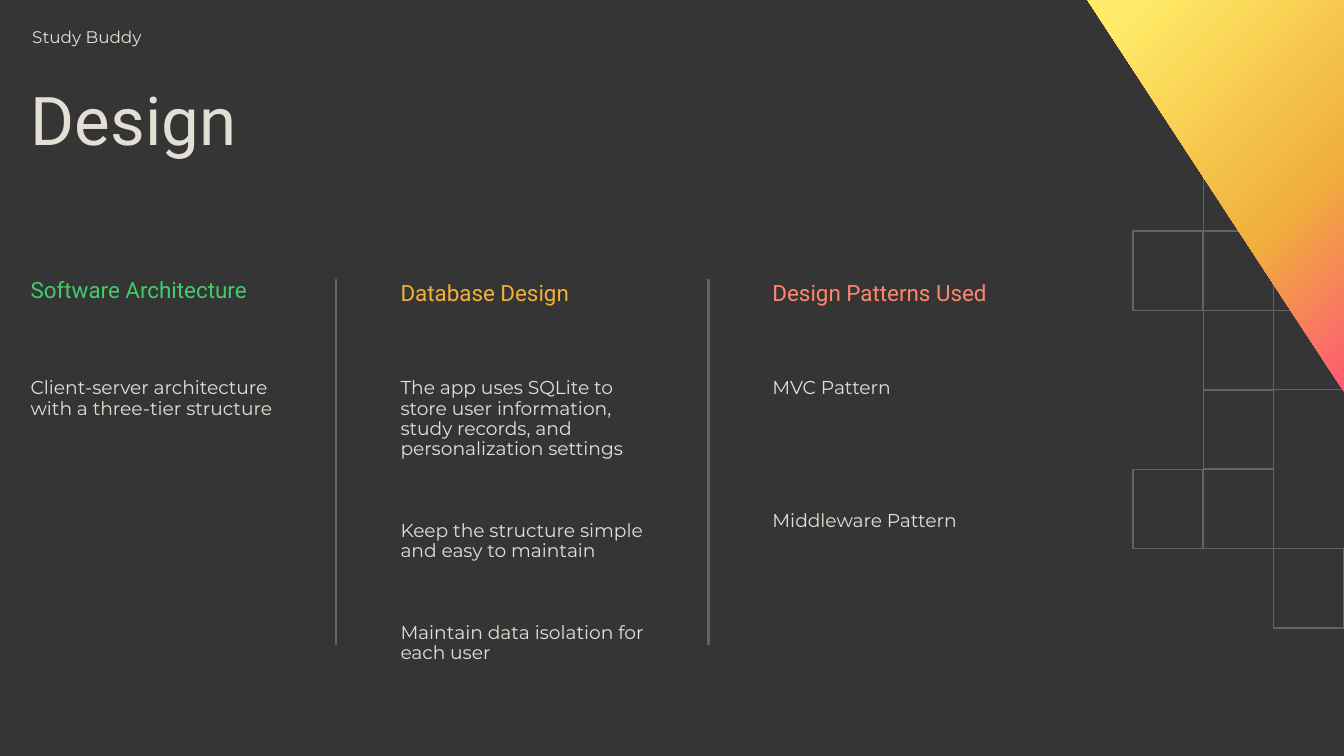
from lxml import etree
from pptx import Presentation
from pptx.dml.color import RGBColor
from pptx.enum import shapes, text
from pptx.oxml import parse_xml
from pptx.oxml.ns import nsdecls, qn
from pptx.util import Cm, Pt

DARK = RGBColor(0x35, 0x35, 0x35)
CREAM = RGBColor(0xE3, 0xDF, 0xD6)
TAUPE = RGBColor(0x69, 0x61, 0x5E)
GREEN = RGBColor(0x41, 0xCC, 0x6B)
AMBER = RGBColor(0xF0, 0xB0, 0x3B)
CORAL = RGBColor(0xFF, 0x86, 0x6D)
PINK = RGBColor(0xFF, 0x57, 0x77)
YELLOW = RGBColor(0xFF, 0xEB, 0x67)

HEAD = dict(name="Roboto", size=Pt(12))
BODY = dict(name="Montserrat", size=Pt(10), color=CREAM)
INSET = 0.25


def add_text(s, box, paras, fmt, insets=(INSET,) * 4, spacing=0.9, gap=0):
    """Insets run left, top, right, bottom in cm; gap is points between paragraphs."""
    tf = s.shapes.add_textbox(*map(Cm, box)).text_frame
    frame = dict(zip(("margin_left", "margin_top", "margin_right", "margin_bottom"),
                     map(Cm, insets)),
                 word_wrap=True, auto_size=text.MSO_AUTO_SIZE.NONE,
                 vertical_anchor=text.MSO_ANCHOR.TOP)
    for key, value in frame.items():
        setattr(tf, key, value)
    for i, words in enumerate(paras):
        p = tf.add_paragraph() if i else tf.paragraphs[0]
        p.line_spacing = spacing
        p.space_before = Pt(gap if i else 0)
        r = p.add_run()
        r.text = words
        for key, value in fmt.items():
            if key == "color":
                r.font.color.rgb = value
            else:
                setattr(r.font, key, value)


def add_cell_grid(s, box):
    """Outlined cells on a grid of 3 columns and 6 rows, some left empty."""
    left, top, width, height = box
    w, h = width / 3, height / 6
    rows = [(1, 2), (0, 1, 2), (1, 2), (1,), (0, 1), (2,)]
    for j, cols in enumerate(rows):
        for i in cols:
            sp = s.shapes.add_shape(shapes.MSO_SHAPE.RECTANGLE, Cm(left + i * w),
                                    Cm(top + j * h), Cm(w), Cm(h))
            sp.shadow.inherit = False
            sp.fill.background()
            sp.line.color.rgb = TAUPE
            sp.line.width = Pt(0.75)


def add_corner(s, box):
    """Right-angled triangle filling the top right corner, with a gradient."""
    left, top, width, height = box
    right = left + width
    fb = s.shapes.build_freeform(Cm(left), Cm(top))
    fb.add_line_segments([(Cm(right), Cm(top)), (Cm(right), Cm(top + height))], close=True)
    sp = fb.convert_to_shape()
    sp.shadow.inherit = False
    sp.line.fill.background()
    stops = "".join(f'<a:gs pos="{pos * 1000}"><a:srgbClr val="{color}"/></a:gs>'
                    for pos, color in [(0, PINK), (37, AMBER), (92, YELLOW), (100, YELLOW)])
    grad = parse_xml(f'<a:gradFill {nsdecls("a")} rotWithShape="1"><a:gsLst>{stops}</a:gsLst>'
                     f'<a:lin ang="{225 * 60000}" scaled="0"/></a:gradFill>')
    sp._element.spPr.find(qn("a:custGeom")).addnext(grad)


def add_header(s, box):
    left, top, width, height = box
    add_text(s, (left - 0.23, top, 4.39, 0.53), ["Study Buddy"],
             dict(BODY, size=Pt(9)), (0.51, INSET, INSET, INSET), spacing=1)
    add_text(s, (left, top + 1.15, width, height - 1.15), ["Design"],
             dict(HEAD, size=Pt(36), color=CREAM))


def add_column(s, box, heading, color, blocks, spacing=1):
    """A heading over equal text blocks; each block is a list of paragraphs."""
    left, top, width, height = box
    add_text(s, (left, top, width, 1.45), [heading], dict(HEAD, color=color),
             (INSET, 0, INSET, INSET), spacing)
    body_top = top + 1.63
    step = 2.51
    for i, paras in enumerate(blocks):
        y = body_top + i * step
        h = step if len(blocks) > 1 else top + height - body_top
        add_text(s, (left, y, width, h), paras, BODY, (INSET, INSET, 0, INSET), gap=33)


def add_divider(s, box):
    left, top, _, height = box
    ln = s.shapes.add_connector(shapes.MSO_CONNECTOR.STRAIGHT,
                                Cm(left), Cm(top), Cm(left), Cm(top + height))
    ln.line.color.rgb = TAUPE
    ln.line.width = Pt(1.5)
    etree.SubElement(ln._element.spPr, qn("a:effectLst"))


def main():
    prs = Presentation()
    prs.slide_width, prs.slide_height = Cm(25.4), Cm(14.29)
    s = prs.slides.add_slide(prs.slide_layouts[6])
    s.background.fill.solid()
    s.background.fill.fore_color.rgb = DARK

    add_cell_grid(s, (21.41, 2.87, 3.99, 9))
    add_corner(s, (20.54, -0.02, 4.88, 7.46))
    add_header(s, (0.33, 0.25, 16.81, 3.05))

    top, width, height = 5.28, 5.11, 8.54
    add_column(s, (0.33, top, width, height), "Software Architecture", GREEN,
               [["Client-server architecture with a three-tier structure"]], spacing=0.9)
    add_column(s, (7.32, top, width, height), "Database Design", AMBER,
               [["The app uses SQLite to store user information, study records, "
                 "and personalization settings",
                 "Keep the structure simple and easy to maintain",
                 "Maintain data isolation for each user"]])
    add_column(s, (14.35, top, width, height), "Design Patterns Used", CORAL,
               [["MVC Pattern"], ["Middleware Pattern"]])
    for x in (6.35, 13.39):
        add_divider(s, (x, top, 0, 6.91))

    prs.save("out.pptx")


if __name__ == "__main__":
    main()
